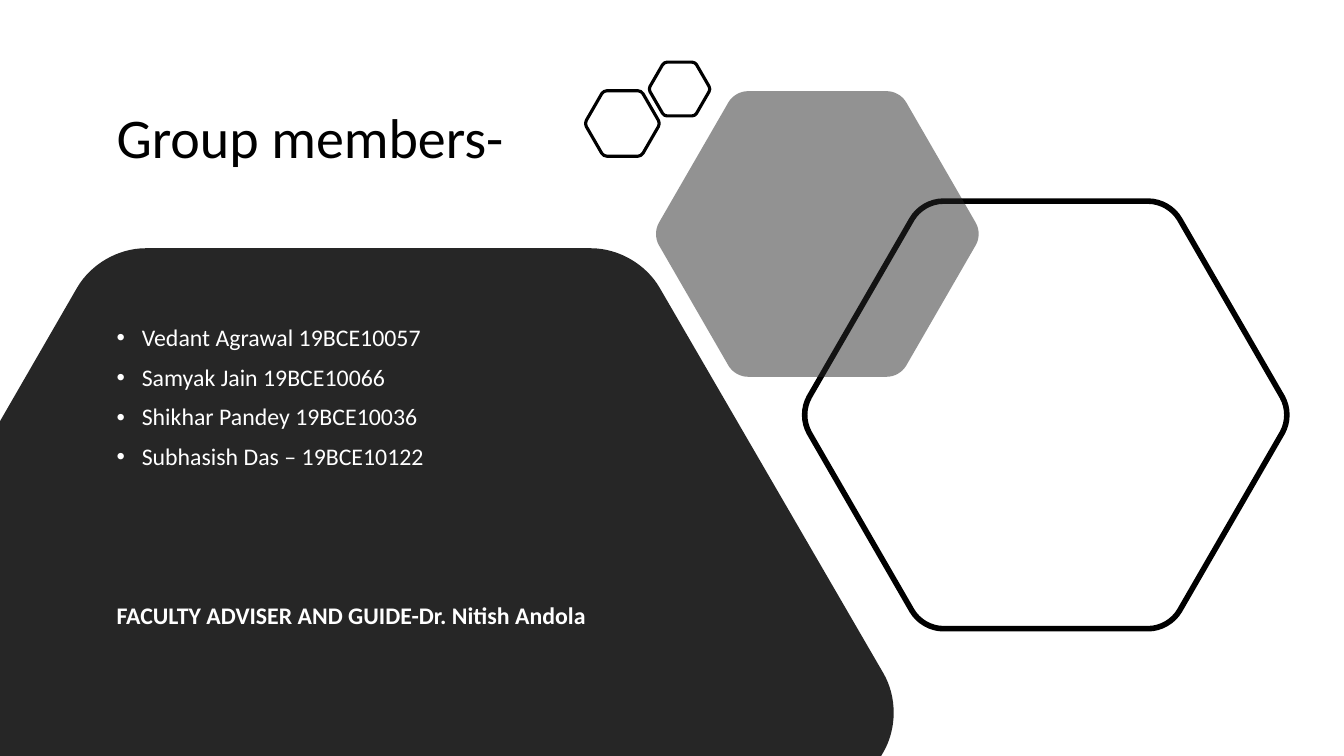
from math import cos, dist, pi, sin

from lxml import etree
from pptx import Presentation
from pptx.dml.color import RGBColor
from pptx.enum.text import MSO_ANCHOR
from pptx.oxml.ns import qn
from pptx.util import Inches, Pt

MIDDLE = MSO_ANCHOR.MIDDLE
TOP = MSO_ANCHOR.TOP
BLACK = RGBColor(0x00, 0x00, 0x00)
CHARCOAL = RGBColor(0x26, 0x26, 0x26)
WHITE = RGBColor(0xFF, 0xFF, 0xFF)

COLUMNS, ROWS = 160, 90
CONTROL_PULL = 0.6

MEMBERS = [
    "Vedant Agrawal 19BCE10057",
    "Samyak Jain 19BCE10066",
    "Shikhar Pandey 19BCE10036",
    "Subhasish Das – 19BCE10122",
]
ADVISER = "FACULTY ADVISER AND GUIDE-Dr. Nitish Andola"


def toward(start, end, share):
    return tuple(a + (b - a) * share for a, b in zip(start, end))


def round_corner(before, corner, after, cut):
    p0 = toward(corner, before, cut / dist(corner, before))
    p3 = toward(corner, after, cut / dist(corner, after))
    return [p0, toward(p0, corner, CONTROL_PULL), toward(p3, corner, CONTROL_PULL), p3]


def bend(sp, curve_starts):
    lines = list(sp._element.iter(qn("a:lnTo")))
    for start in curve_starts:
        curve = etree.Element(qn("a:cubicBezTo"))
        lines[start - 1].addprevious(curve)
        for line in lines[start - 1:start + 2]:
            curve.append(line[0])
            line.getparent().remove(line)


class HexagonSlide:
    font = "Calibri"

    def __init__(self, prs):
        self.s = prs.slides.add_slide(prs.slide_layouts[6])
        self.col = prs.slide_width / COLUMNS
        self.row = prs.slide_height / ROWS

    def place(self, x, y):
        return round(x * self.col), round(y * self.row)

    def rounded(self, corners, cuts, fill=None, alpha=None, line=None):
        outline, curve_starts = [], []
        for i, corner in enumerate(corners):
            if cuts[i]:
                curve_starts.append(len(outline) + 1)
                after = corners[(i + 1) % len(corners)]
                outline += round_corner(corners[i - 1], corner, after, cuts[i])
            else:
                outline.append(corner)
        points = [self.place(*point) for point in outline]
        builder = self.s.shapes.build_freeform(*points[0])
        builder.add_line_segments(points[1:], close=True)
        sp = builder.convert_to_shape()
        bend(sp, curve_starts)
        sp.shadow.inherit = False
        if fill is None:
            sp.fill.background()
        else:
            sp.fill.solid()
            sp.fill.fore_color.rgb = fill
        if alpha is not None:
            color = sp.fill._xPr.find(qn("a:solidFill"))[0]
            etree.SubElement(color, qn("a:alpha")).set("val", str(alpha * 1000))
        if line is None:
            sp.line.fill.background()
        else:
            sp.line.color.rgb = BLACK
            sp.line.width = Pt(line)

    def hexagon(self, x, y, half_height, cut, **style):
        radius = half_height / sin(pi / 3)
        corners = [(x + radius * cos(i * pi / 3), y + radius * sin(i * pi / 3))
                   for i in range(6)]
        self.rounded(corners, [cut] * 6, **style)

    def text_box(self, x, y, width, height, anchor):
        box = self.s.shapes.add_textbox(*self.place(x, y), *self.place(width, height))
        tf = box.text_frame
        tf.word_wrap = True
        tf.vertical_anchor = anchor
        return tf

    def paragraph(self, tf, text, size, color, bold=False, before=0, bullet=False):
        first = tf.paragraphs[0]
        p = tf.add_paragraph() if first.runs else first
        if bullet:
            pPr = p._p.get_or_add_pPr()
            pPr.set("marL", str(Inches(0.25)))
            pPr.set("indent", str(-Inches(0.25)))
            etree.SubElement(pPr, qn("a:buFont")).set("typeface", "Arial")
            etree.SubElement(pPr, qn("a:buChar")).set("char", "•")
        p.line_spacing = 0.9
        p.space_before = Pt(before)
        r = p.add_run()
        r.text = text
        r.font.color.rgb = color
        for name, value in {"name": self.font, "size": Pt(size), "bold": bold}.items():
            setattr(r.font, name, value)


def main():
    prs = Presentation()
    prs.slide_width, prs.slide_height = Inches(13.33), Inches(7.5)
    slide = HexagonSlide(prs)

    panel = [(0, 50.15), (11.9, 29.55), (75.8, 29.55),
             (107.9, 84.85), (104.9, ROWS), (0, ROWS)]
    slide.rounded(panel, [0, 5.45, 5.45, 5.45, 0, 0], fill=CHARCOAL)
    slide.hexagon(124.5, 49.4, 25.45, 2.5, line=4)
    slide.hexagon(97.3, 27.85, 17, 1.55, fill=CHARCOAL, alpha=50)
    slide.hexagon(74.1, 14.7, 3.9, 0.42, line=2.25)
    slide.hexagon(80.9, 10.6, 3.2, 0.36, line=2.25)

    title = slide.text_box(12.7, 5.9, 56.2, 21.6, MIDDLE)
    slide.paragraph(title, "Group members-", 40, BLACK)

    body = slide.text_box(12.7, 38.2, 62.3, 40.5, TOP)
    for i, member in enumerate(MEMBERS):
        slide.paragraph(body, member, 17, WHITE, before=10 if i else 0, bullet=True)
    slide.paragraph(body, ADVISER, 17, WHITE, bold=True, before=95)

    prs.save("out.pptx")


if __name__ == "__main__":
    main()
